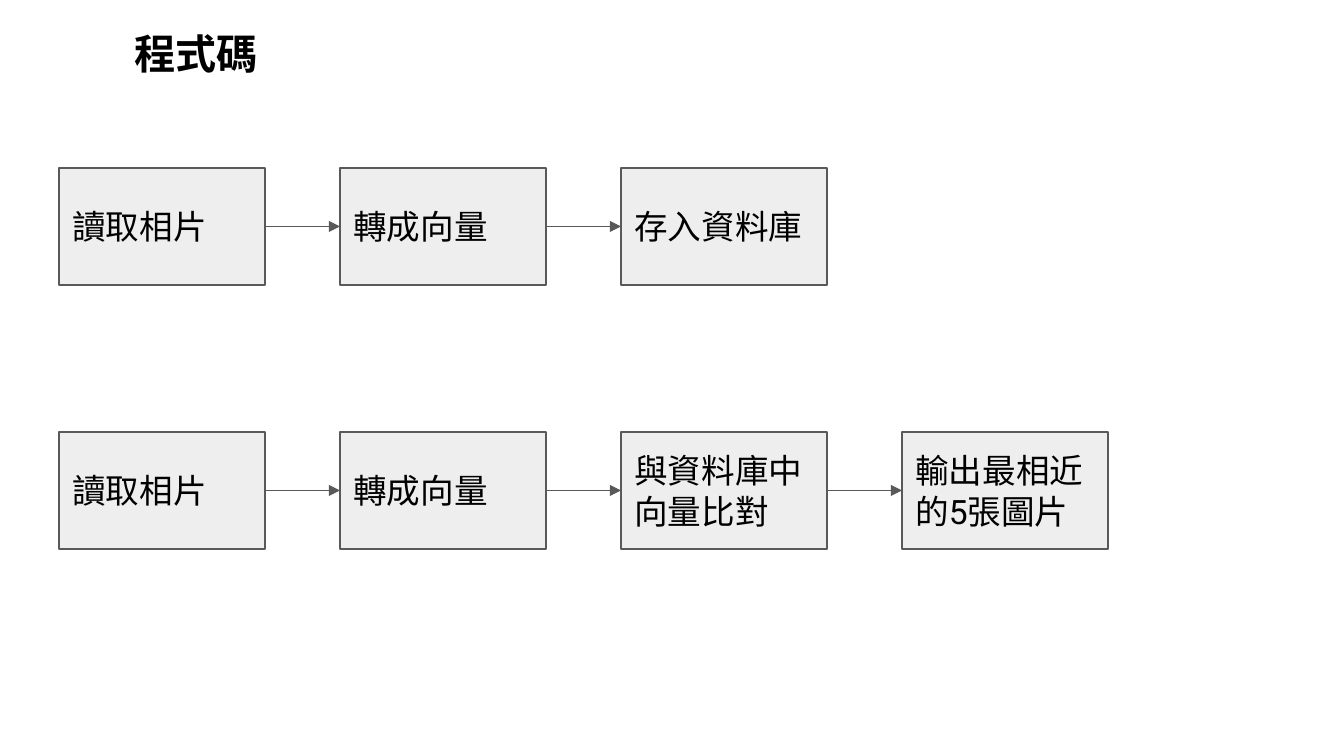
from pptx import Presentation
from pptx.dml.color import RGBColor
from pptx.enum.shapes import MSO_CONNECTOR, MSO_SHAPE
from pptx.enum.text import MSO_ANCHOR, PP_ALIGN
from pptx.oxml.ns import qn
from pptx.oxml.xmlchemy import OxmlElement
from pptx.util import Emu, Inches, Pt

RECTANGLE = MSO_SHAPE.RECTANGLE
STRAIGHT = MSO_CONNECTOR.STRAIGHT
MIDDLE = MSO_ANCHOR.MIDDLE
LEFT = PP_ALIGN.LEFT

BLACK = RGBColor(0x00, 0x00, 0x00)
LIGHT_GRAY = RGBColor(0xEE, 0xEE, 0xEE)
DARK_GRAY = RGBColor(0x59, 0x59, 0x59)

EMU_PER_PX = 914400 / 134.4
SLIDE_WIDTH, SLIDE_HEIGHT = 1344, 756

# Flow grid
FLOW_LEFT, STEP_PITCH = 59, 281
STEP_WIDTH, STEP_HEIGHT = 206, 117
FLOWS = [
    (168, ["讀取相片", "轉成向量", "存入資料庫"]),
    (432, ["讀取相片", "轉成向量", "與資料庫中向量比對", "輸出最相近的5張圖片"]),
]


def px(*lengths):
    return [Emu(round(length * EMU_PER_PX)) for length in lengths]


class FlowSlide:
    font_name = "Roboto"
    margin = Inches(0.1)
    line_width = Pt(0.75)

    def __init__(self, deck):
        self.slide = deck.slides.add_slide(deck.slide_layouts[6])

    def set_text(self, shape, text, size, bold=False):
        frame = shape.text_frame
        frame.word_wrap = True
        frame.margin_left = frame.margin_right = self.margin
        frame.margin_top = frame.margin_bottom = self.margin
        para = frame.paragraphs[0]
        para.text = text
        para.alignment = LEFT
        font = para.font
        font.name = self.font_name
        font.size = Pt(size)
        font.bold = bold
        font.color.rgb = BLACK
        # Chinese characters take the East Asian typeface
        east_asian = OxmlElement("a:ea")
        east_asian.set("typeface", self.font_name)
        para._p.pPr.find(qn("a:defRPr")).append(east_asian)

    def title(self, text, left, top, width, height):
        box = self.slide.shapes.add_textbox(*px(left, top, width, height))
        self.set_text(box, text, 22, bold=True)

    def step(self, text, left, top):
        box = self.slide.shapes.add_shape(
            RECTANGLE, *px(left, top, STEP_WIDTH, STEP_HEIGHT))
        box.shadow.inherit = False
        box.fill.solid()
        box.fill.fore_color.rgb = LIGHT_GRAY
        box.line.color.rgb = DARK_GRAY
        box.line.width = self.line_width
        box.text_frame.vertical_anchor = MIDDLE
        self.set_text(box, text, 18)
        return box

    def arrow(self, source, target):
        middle = source.top + source.height // 2
        arrow = self.slide.shapes.add_connector(
            STRAIGHT, source.left + source.width, middle, target.left, middle)
        arrow.begin_connect(source, 3)
        arrow.end_connect(target, 1)
        arrow.line.color.rgb = DARK_GRAY
        arrow.line.width = self.line_width
        head = OxmlElement("a:tailEnd")
        head.set("type", "triangle")
        properties = arrow._element.spPr
        properties.find(qn("a:ln")).append(head)
        properties.append(OxmlElement("a:effectLst"))

    def flow(self, top, labels):
        steps = [self.step(label, FLOW_LEFT + column * STEP_PITCH, top)
                 for column, label in enumerate(labels)]
        for source, target in zip(steps, steps[1:]):
            self.arrow(source, target)


def main():
    deck = Presentation()
    deck.slide_width, deck.slide_height = px(SLIDE_WIDTH, SLIDE_HEIGHT)
    page = FlowSlide(deck)

    # Heading
    page.title("程式碼", 121, 15, 168, 77)

    # Storing flow, then search flow
    for top, labels in FLOWS:
        page.flow(top, labels)

    deck.save("out.pptx")


if __name__ == "__main__":
    main()
